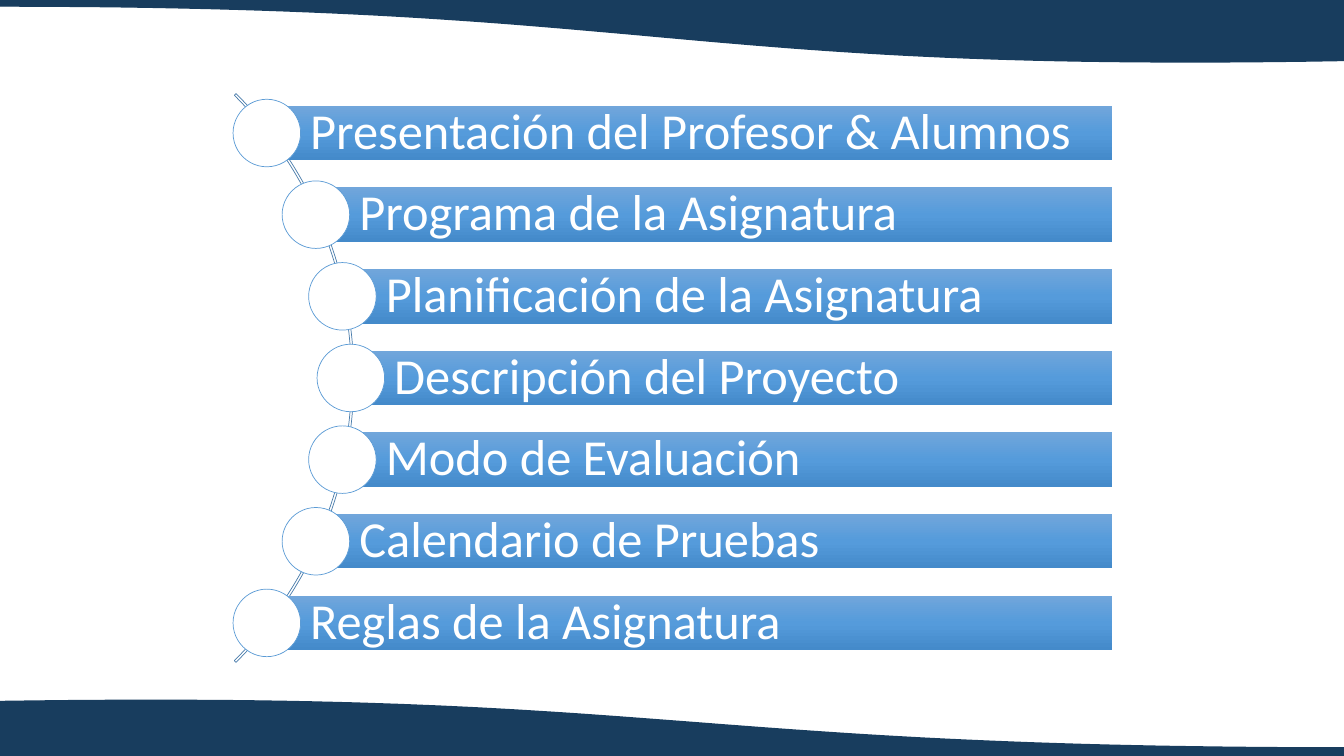
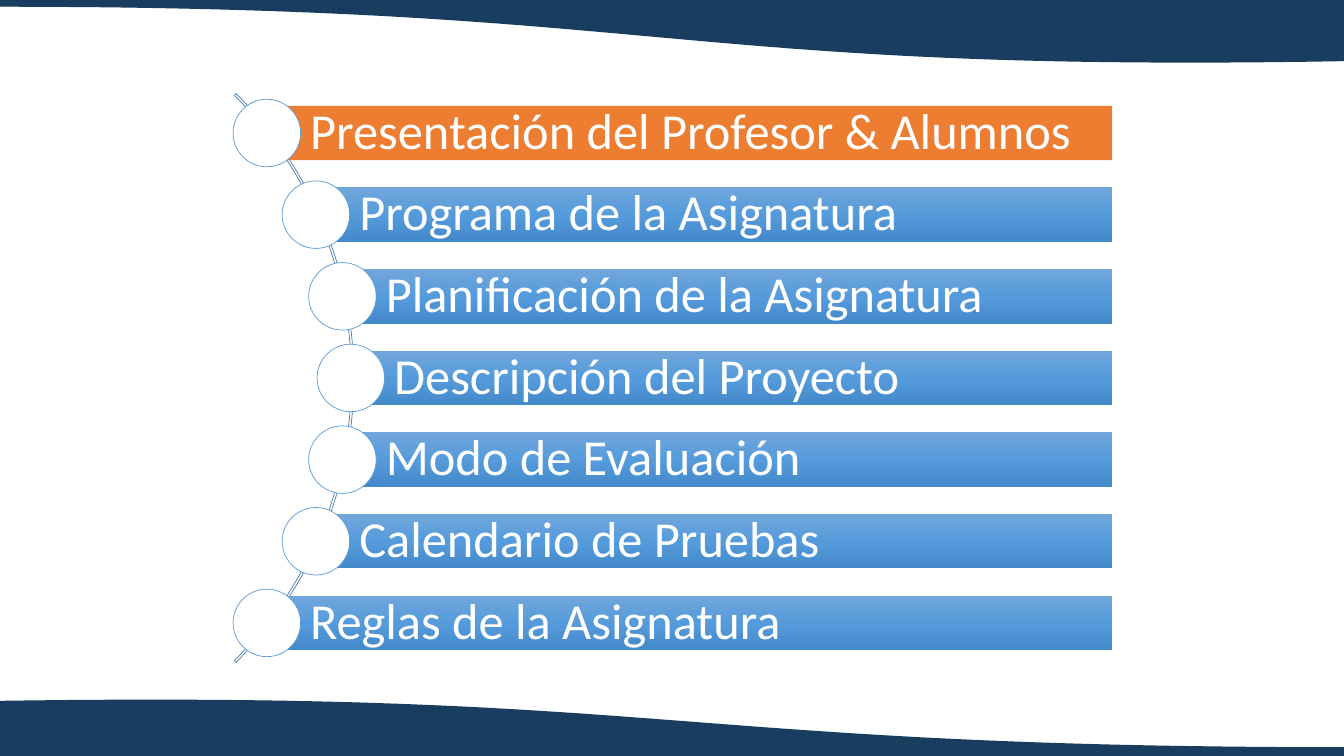
from copy import deepcopy
from math import sqrt

from pptx import Presentation
from pptx.dml.color import RGBColor
from pptx.enum.shapes import MSO_SHAPE
from pptx.enum.text import MSO_ANCHOR, PP_ALIGN
from pptx.oxml.ns import qn
from pptx.util import Inches, Pt

RECTANGLE, OVAL, BLOCK_ARC = MSO_SHAPE.RECTANGLE, MSO_SHAPE.OVAL, MSO_SHAPE.BLOCK_ARC
MIDDLE, LEFT = MSO_ANCHOR.MIDDLE, PP_ALIGN.LEFT

NAVY = RGBColor(0x18, 0x3D, 0x5E)
WHITE = RGBColor(0xFF, 0xFF, 0xFF)
ORANGE = RGBColor(0xED, 0x7D, 0x31)
ARC_BLUE = RGBColor(0x49, 0x7C, 0xAB)
CIRCLE_BLUE = RGBColor(0x5B, 0x9B, 0xD5)
BAR_GRADIENT = (
    (0, RGBColor(0x71, 0xA6, 0xDB)),
    (0.5, RGBColor(0x55, 0x9B, 0xDB)),
    (1, RGBColor(0x44, 0x8A, 0xCA)),
)

SLIDE_WIDTH, SLIDE_HEIGHT = 13.33, 7.5
CURVE_STEPS = 60

# Each band: its outer edge, then the four Bezier points of its wavy edge.
BANDS = (
    (-0.03, ((0, 0.06), (6.67, 0.06), (6.67, 0.72), (SLIDE_WIDTH, 0.6))),
    (SLIDE_HEIGHT, ((0, 6.96), (6.67, 6.86), (6.67, 7.42), (SLIDE_WIDTH, 7.42))),
)

TOPICS = (
    "Presentación del Profesor & Alumnos",
    "Programa de la Asignatura",
    "Planificación de la Asignatura",
    "Descripción del Proyecto",
    "Modo de Evaluación",
    "Calendario de Pruebas",
    "Reglas de la Asignatura",
)
HIGHLIGHTED_TOPICS = (None, 0)

ARC_CENTER_X, ARC_CENTER_Y = -0.48, 3.75
ARC_SIZE = 7.98
ARC_ADJUSTMENTS = (189, 27, 0.003)
CIRCLE_ORBIT = 3.96
ROW_PITCH = 0.81
BAR_RIGHT, BAR_HEIGHT = 11.03, 0.54
CIRCLE_SIZE = 0.67

BAR_FRAME = {
    "word_wrap": True,
    "vertical_anchor": MIDDLE,
    "margin_left": Inches(0.43),
    "margin_right": Inches(0.1),
    "margin_top": Inches(0.1),
    "margin_bottom": Inches(0.1),
}
BAR_PARAGRAPH = {"alignment": LEFT, "line_spacing": 0.9}
BAR_FONT = {"name": "Calibri", "size": Pt(36)}


def apply_format(target, values):
    for name, value in values.items():
        setattr(target, name, value)


def set_line(shape, color, width):
    shape.line.color.rgb = color
    shape.line.width = Pt(width)


def set_solid_fill(shape, color):
    shape.fill.solid()
    shape.fill.fore_color.rgb = color


def set_bar_gradient(shape):
    """Fill from top to bottom with the three stops of BAR_GRADIENT."""
    shape.fill.gradient()
    shape.fill.gradient_angle = 270
    stop_list = next(shape.element.iter(qn("a:gsLst")))
    stop_list.insert(1, deepcopy(stop_list[0]))
    for stop, (position, color) in zip(shape.fill.gradient_stops, BAR_GRADIENT):
        stop.position = position
        stop.color.rgb = color


def add_centered_shape(slide, kind, center_x, center_y, size):
    shape = slide.shapes.add_shape(
        kind, Inches(center_x - size / 2), Inches(center_y - size / 2),
        Inches(size), Inches(size))
    shape.shadow.inherit = False
    return shape


def bezier_points(controls):
    for step in range(CURVE_STEPS + 1):
        t = step / CURVE_STEPS
        weights = ((1 - t) ** 3, 3 * t * (1 - t) ** 2, 3 * t ** 2 * (1 - t), t ** 3)
        yield tuple(
            Inches(sum(weight * point[axis] for weight, point in zip(weights, controls)))
            for axis in (0, 1))


def add_band(slide, edge, controls):
    builder = slide.shapes.build_freeform(Inches(0), Inches(edge), scale=1.0)
    builder.add_line_segments(
        [*bezier_points(controls), (Inches(SLIDE_WIDTH), Inches(edge))], close=True)
    band = builder.convert_to_shape()
    band.shadow.inherit = False
    set_solid_fill(band, NAVY)
    set_line(band, NAVY, 1)
    return band


def move_bands_to_layout(slide):
    """Draw the bands once, on the layout that all slides share."""
    layout_shapes = slide.slide_layout.shapes
    for placeholder in list(layout_shapes):
        layout_shapes.element.remove(placeholder.element)
    for band in [add_band(slide, *band_values) for band_values in BANDS]:
        layout_shapes.element.append(band.element)


def add_arc(slide):
    arc = add_centered_shape(slide, BLOCK_ARC, ARC_CENTER_X, ARC_CENTER_Y, ARC_SIZE)
    for index, value in enumerate(ARC_ADJUSTMENTS):
        arc.adjustments[index] = value
    arc.fill.background()
    set_line(arc, ARC_BLUE, 0.5)


def add_bar(slide, text, left, center_y, highlighted):
    bar = slide.shapes.add_shape(
        RECTANGLE, Inches(left), Inches(center_y - BAR_HEIGHT / 2),
        Inches(BAR_RIGHT - left), Inches(BAR_HEIGHT))
    bar.shadow.inherit = False
    bar.line.fill.background()
    if highlighted:
        set_solid_fill(bar, ORANGE)
    else:
        set_bar_gradient(bar)
    apply_format(bar.text_frame, BAR_FRAME)
    paragraph = bar.text_frame.paragraphs[0]
    apply_format(paragraph, BAR_PARAGRAPH)
    run = paragraph.add_run()
    run.text = text
    apply_format(run.font, BAR_FONT)
    run.font.color.rgb = WHITE


def add_topic_list(slide, highlighted_topic):
    add_arc(slide)
    for index, topic in enumerate(TOPICS):
        offset = (index - (len(TOPICS) - 1) / 2) * ROW_PITCH
        center_x = ARC_CENTER_X + sqrt(CIRCLE_ORBIT ** 2 - offset ** 2)
        center_y = ARC_CENTER_Y + offset
        add_bar(slide, topic, center_x, center_y, index == highlighted_topic)
        circle = add_centered_shape(slide, OVAL, center_x, center_y, CIRCLE_SIZE)
        set_solid_fill(circle, WHITE)
        set_line(circle, CIRCLE_BLUE, 0.5)


def main():
    presentation = Presentation()
    presentation.slide_width = Inches(SLIDE_WIDTH)
    presentation.slide_height = Inches(SLIDE_HEIGHT)
    blank_layout = presentation.slide_layouts[6]
    slides = [presentation.slides.add_slide(blank_layout) for _ in HIGHLIGHTED_TOPICS]
    move_bands_to_layout(slides[0])
    for slide, highlighted_topic in zip(slides, HIGHLIGHTED_TOPICS):
        add_topic_list(slide, highlighted_topic)
    presentation.save("out.pptx")


if __name__ == "__main__":
    main()
